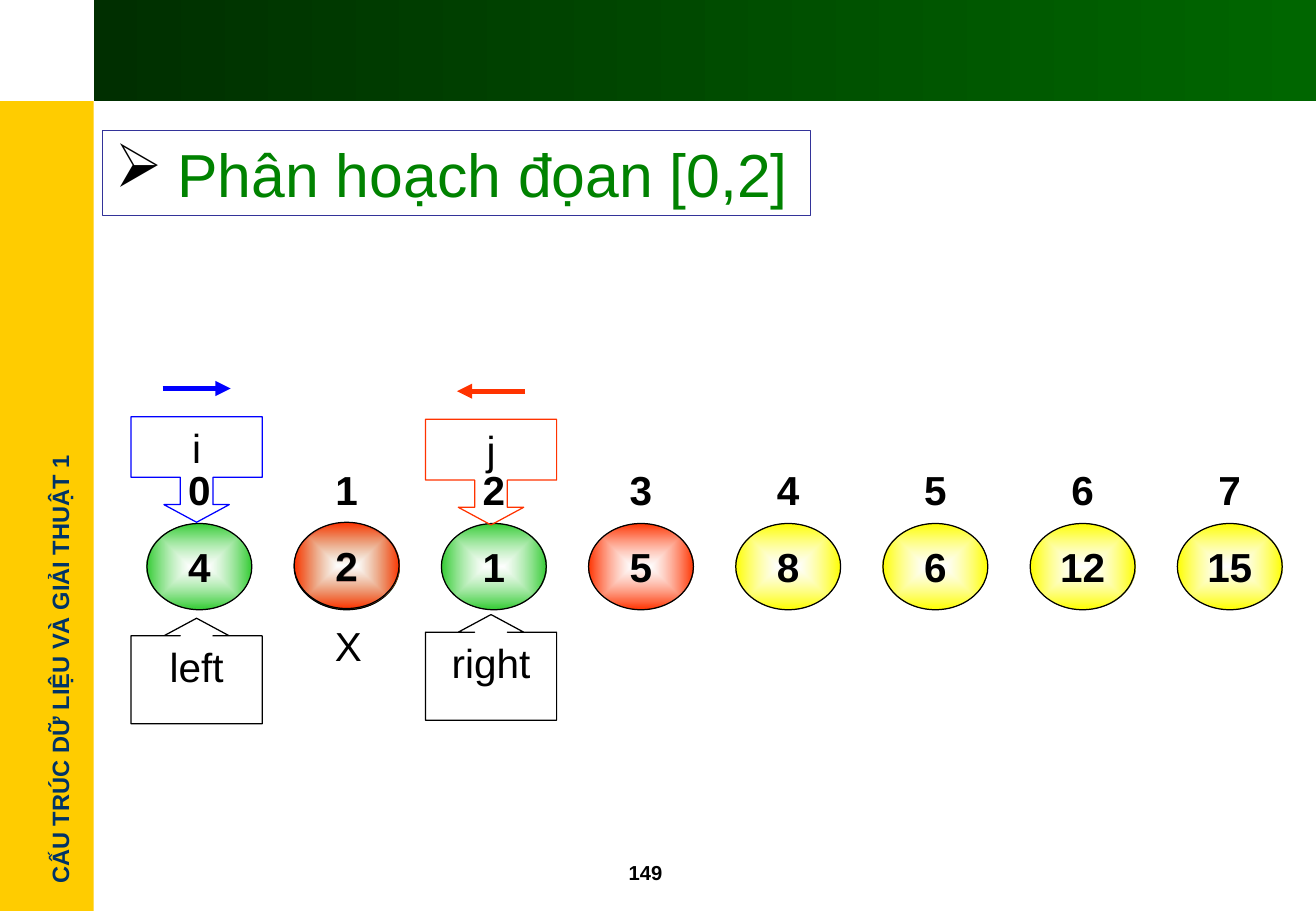
from dataclasses import dataclass

from pptx import Presentation
from pptx.dml.color import RGBColor
from pptx.enum.shapes import MSO_CONNECTOR, MSO_SHAPE
from pptx.enum.text import MSO_ANCHOR, MSO_AUTO_SIZE, PP_ALIGN
from pptx.oxml.ns import qn
from pptx.util import Pt
from lxml.etree import SubElement


@dataclass(frozen=True)
class Theme:
    """Colours, font and type sizes of the slide."""
    font: str = "Arial"
    black: str = "000000"
    white: str = "FFFFFF"
    green: str = "33CC33"
    red: str = "FF3300"
    yellow: str = "FFFF00"
    blue: str = "0000FF"
    sidebar: str = "FFCC00"
    course: str = "003366"
    header_start: str = "002F00"
    header_end: str = "006600"
    title: str = "008200"
    title_border: str = "333399"
    title_size: int = 36
    label_size: int = 24
    course_size: int = 14
    page_size: int = 12


THEME = Theme()
TITLE = "Phân hoạch đọan [0,2]"
COURSE = "CẤU TRÚC DỮ LIỆU VÀ GIẢI THUẬT 1"
PAGE = "149"
VALUES = [
    ("4", THEME.green), ("2", THEME.green), ("1", THEME.green), ("5", THEME.red),
    ("8", THEME.yellow), ("6", THEME.yellow), ("12", THEME.yellow), ("15", THEME.yellow),
]
PIVOT = (1, "2", THEME.red)
BOUNDS = [("left", 0, 366.5), ("right", 2, 364.3)]
CURSORS = [("i", 0, 247, THEME.blue, 1), ("j", 2, 248.6, THEME.red, -1)]

WIDTH, HEIGHT = 780.48, 540
SIDEBAR_WIDTH, HEADER_HEIGHT = 55.6, 60
FIRST_LEFT, PITCH = 87.2, 87.3
CIRCLE_WIDTH, CIRCLE_HEIGHT = 62.2, 51.1
CIRCLE_TOP, INDEX_TOP = 310.3, 264.3
CALLOUT_WIDTH, CALLOUT_HEIGHT, CALLOUT_SHIFT = 77.8, 62.6, -9.5
ARROW_HALF, ARROW_RISE = 20.2, 16.7


def colour(value):
    return RGBColor.from_string(value)


def column_left(column):
    return FIRST_LEFT + column * PITCH


def write(shape, text, size, ink=THEME.black, bold=False,
          align=PP_ALIGN.CENTER, anchor=MSO_ANCHOR.MIDDLE, wrap=True):
    frame = shape.text_frame
    frame.word_wrap = wrap
    frame.auto_size = MSO_AUTO_SIZE.NONE
    frame.vertical_anchor = anchor
    paragraph = frame.paragraphs[0]
    paragraph.text = text
    paragraph.alignment = align
    font = paragraph.font
    font.name, font.size, font.bold = THEME.font, Pt(size), bold
    font.color.rgb = colour(ink)


def add_shape(slide, kind, left, top, width, height, line=None):
    shape = slide.shapes.add_shape(kind, Pt(left), Pt(top), Pt(width), Pt(height))
    shape.shadow.inherit = False
    shape.fill.background()
    if line:
        shape.line.color.rgb = colour(line)
        shape.line.width = Pt(0.75)
    else:
        shape.line.fill.background()
    return shape


def add_text(slide, text, left, top, width, height, size, **style):
    box = slide.shapes.add_textbox(Pt(left), Pt(top), Pt(width), Pt(height))
    write(box, text, size, align=PP_ALIGN.LEFT, anchor=MSO_ANCHOR.TOP, **style)
    return box


def fill_gradient(shape, start, end):
    shape.fill.gradient()
    shape.fill.gradient_angle = 0
    for stop, value in zip(shape.fill.gradient_stops, (start, end)):
        stop.color.rgb = colour(value)


def add_circle(slide, column, text, outer, top=CIRCLE_TOP):
    circle = add_shape(slide, MSO_SHAPE.OVAL, column_left(column), top,
                       CIRCLE_WIDTH, CIRCLE_HEIGHT, THEME.black)
    fill_gradient(circle, THEME.white, outer)
    gradient = circle._element.spPr.find(qn("a:gradFill"))
    SubElement(gradient.find(".//" + qn("a:srgbClr")), qn("a:alpha"), val="60000")
    linear = gradient.find(qn("a:lin"))
    radial = SubElement(gradient, qn("a:path"), path="rect")
    SubElement(radial, qn("a:fillToRect"), l="50000", t="50000", r="50000", b="50000")
    gradient.replace(linear, radial)
    write(circle, text, THEME.label_size, bold=True)


def add_callout(slide, kind, text, column, top, line, body):
    left = column_left(column) + CALLOUT_SHIFT
    callout = add_shape(slide, kind, left, top, CALLOUT_WIDTH, CALLOUT_HEIGHT, line)
    for position, value in enumerate((0.31, 0.31, 0.167, body)):
        callout.adjustments[position] = value
    write(callout, text, THEME.label_size, anchor=MSO_ANCHOR.TOP)
    return left + CALLOUT_WIDTH / 2


def add_arrow(slide, center, y, direction, line):
    reach = ARROW_HALF * direction
    arrow = slide.shapes.add_connector(MSO_CONNECTOR.STRAIGHT, Pt(center - reach), Pt(y),
                                       Pt(center + reach), Pt(y))
    arrow.line.color.rgb = colour(line)
    arrow.line.width = Pt(3)
    properties = arrow._element.spPr
    SubElement(properties.find(qn("a:ln")), qn("a:tailEnd"), type="triangle")
    SubElement(properties, qn("a:effectLst"))


def add_frame(slide):
    sidebar = add_shape(slide, MSO_SHAPE.RECTANGLE, 0, HEADER_HEIGHT,
                        SIDEBAR_WIDTH, HEIGHT - HEADER_HEIGHT)
    sidebar.fill.solid()
    sidebar.fill.fore_color.rgb = colour(THEME.sidebar)
    course = add_text(slide, COURSE, -98.6, 384.5, 268.6, 24.5, THEME.course_size,
                      ink=THEME.course, bold=True, wrap=False)
    course.rotation = 270
    header = add_shape(slide, MSO_SHAPE.RECTANGLE, SIDEBAR_WIDTH, 0,
                       WIDTH - SIDEBAR_WIDTH, HEADER_HEIGHT)
    fill_gradient(header, THEME.header_start, THEME.header_end)
    add_text(slide, PAGE, 365.8, 506.2, 59.8, 21.6, THEME.page_size, bold=True)


def add_title(slide):
    title = slide.shapes.title
    title.left, title.top, title.width, title.height = Pt(61), Pt(77.2), Pt(419.6), Pt(50.4)
    title.line.color.rgb = colour(THEME.title_border)
    title.line.width = Pt(0.75)
    properties = title.text_frame.paragraphs[0]._p.get_or_add_pPr()
    properties.set("marL", str(Pt(37)))
    properties.set("indent", str(-Pt(37)))
    bullet_colour = SubElement(properties, qn("a:buClr"))
    SubElement(bullet_colour, qn("a:srgbClr"), val=THEME.black)
    SubElement(properties, qn("a:buChar"), char="➢")
    write(title, TITLE, THEME.title_size, THEME.title, align=PP_ALIGN.LEFT)


def main():
    presentation = Presentation()
    presentation.slide_width, presentation.slide_height = Pt(WIDTH), Pt(HEIGHT)
    slide = presentation.slides.add_slide(presentation.slide_layouts[5])
    add_frame(slide)
    add_title(slide)
    for column, (value, outer) in enumerate(VALUES):
        add_circle(slide, column, value, outer)
        index = add_shape(slide, MSO_SHAPE.OVAL, column_left(column), INDEX_TOP,
                          CIRCLE_WIDTH, CIRCLE_HEIGHT)
        write(index, str(column), THEME.label_size, bold=True)
    for text, column, top in BOUNDS:
        add_callout(slide, MSO_SHAPE.UP_ARROW_CALLOUT, text, column, top, THEME.black, 0.851)
    for text, column, top, line, direction in CURSORS:
        center = add_callout(slide, MSO_SHAPE.DOWN_ARROW_CALLOUT, text, column, top, line, 0.575)
        add_arrow(slide, center, top - ARROW_RISE, direction, line)
    add_text(slide, "X", 191.5, 364.3, 39.6, 36, THEME.label_size)
    add_circle(slide, *PIVOT, top=CIRCLE_TOP - 0.7)
    presentation.save("out.pptx")


if __name__ == "__main__":
    main()
